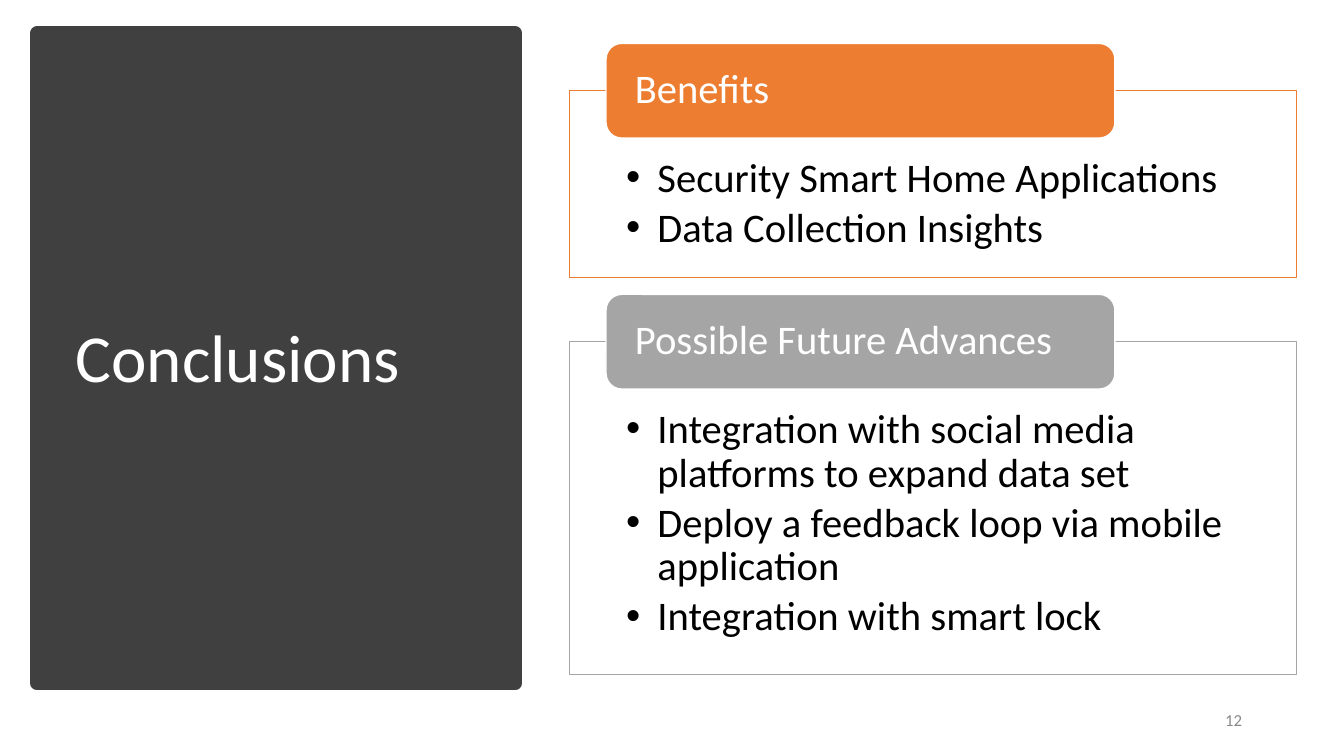
from dataclasses import dataclass

from lxml import etree
from pptx import Presentation
from pptx import util as u
from pptx.dml.color import RGBColor
from pptx.enum import shapes, text
from pptx.oxml.ns import qn


@dataclass(frozen=True)
class Theme:
    font: str = "Calibri"
    dark: str = "404040"
    white: str = "FFFFFF"
    black: str = "000000"
    muted: str = "898989"
    warm: str = "ED7D31"
    grey: str = "A5A5A5"
    title: int = 48
    body: int = 29
    small: int = 12


class Deck:
    """Draw styled elements on a slide, placed in percent of its width and height."""

    def __init__(self, theme):
        self.theme = theme
        self.prs = Presentation()
        self.prs.slide_width, self.prs.slide_height = u.Inches(13.33), u.Inches(7.5)
        self.slide = self.prs.slides.add_slide(self.prs.slide_layouts[3])
        self.title_box, *self.bodies = self.slide.placeholders

    def area(self, x, y, w, h):
        col, row = self.prs.slide_width / 100, self.prs.slide_height / 100
        return [u.Emu(round(n)) for n in (x * col, y * row, w * col, h * row)]

    def place(self, shape, box):
        shape.left, shape.top, shape.width, shape.height = self.area(*box)

    def paint(self, shape, fill, line, width=1):
        shape.fill.solid()
        shape.fill.fore_color.rgb = RGBColor.from_string(fill)
        shape.line.color.rgb = RGBColor.from_string(line)
        shape.line.width = u.Pt(width)

    def label(self, shape, words, size, color, align=text.PP_ALIGN.LEFT,
              anchor=text.MSO_ANCHOR.MIDDLE, inset=(0.1, 0.05, 0.1, 0.05)):
        frame = shape.text_frame
        frame.text = words
        frame.word_wrap = True
        frame.auto_size = text.MSO_AUTO_SIZE.NONE
        frame.vertical_anchor = anchor
        (frame.margin_left, frame.margin_top,
         frame.margin_right, frame.margin_bottom) = map(u.Inches, inset)
        for para in frame.paragraphs:
            para.alignment = align
            para.line_spacing = 0.9
            para.space_before = u.Pt(0)
            for run in para.runs:
                run.font.name = self.theme.font
                run.font.size = u.Pt(size)
                run.font.color.rgb = RGBColor.from_string(color)
        return frame

    def shape(self, kind, box, fill, line, width=1):
        item = self.slide.shapes.add_shape(kind, *self.area(*box))
        item.shadow.inherit = False
        self.paint(item, fill, line, width)
        return item

    def panel(self, box):
        dark = self.theme.dark
        item = self.shape(shapes.MSO_SHAPE.RECTANGLE, box, dark, dark, 10)
        self.title_box.element.addprevious(item.element)

    def title(self, words, box):
        self.place(self.title_box, box)
        self.label(self.title_box, words, self.theme.title, self.theme.white)

    def list(self, body, items, box, color):
        self.place(body, box)
        self.paint(body, self.theme.white, color)
        frame = self.label(body, "\n".join(items), self.theme.body, self.theme.black,
                           anchor=text.MSO_ANCHOR.TOP, inset=(0.56, 0.66, 0.56, 0.23))
        for para in frame.paragraphs:
            para.space_after = u.Pt(self.theme.body * 0.15)
            props = para._p.get_or_add_pPr()
            props.set("marL", str(u.Inches(0.31)))
            props.set("indent", str(-u.Inches(0.31)))
            etree.SubElement(props, qn("a:buChar")).set("char", "•")

    def tab(self, words, box, color):
        item = self.shape(shapes.MSO_SHAPE.ROUNDED_RECTANGLE, box, color, self.theme.white)
        self.label(item, words, self.theme.body, self.theme.white,
                   inset=(0.24, 0.05, 0.24, 0.05))

    def number(self, words, box):
        item = self.slide.shapes.add_textbox(*self.area(*box))
        self.label(item, words, self.theme.small, self.theme.muted,
                   align=text.PP_ALIGN.RIGHT)


def main():
    theme = Theme()
    deck = Deck(theme)
    deck.panel((2.78, 4.4, 35.56, 86))
    deck.title("Conclusions", (4.88, 9.33, 31.2, 76.67))

    groups = [
        ("Benefits", theme.warm, 24.67,
         ["Security Smart Home Applications", "Data Collection Insights"]),
        ("Possible Future Advances", theme.grey, 44,
         ["Integration with social media platforms to expand data set",
          "Deploy a feedback loop via mobile application",
          "Integration with smart lock"]),
    ]
    left, width, top, gap = 42.39, 54.09, 12, 8.53
    tab_high = 12.53
    for body, (head, color, high, items) in zip(deck.bodies, groups):
        deck.list(body, items, (left, top, width, high), color)
        deck.tab(head, (left + width * 0.05, top - tab_high / 2, width * 0.7, tab_high), color)
        top += high + gap

    deck.number("12", (70.67, 92.67, 22.5, 5.33))
    deck.prs.save("out.pptx")


if __name__ == "__main__":
    main()
